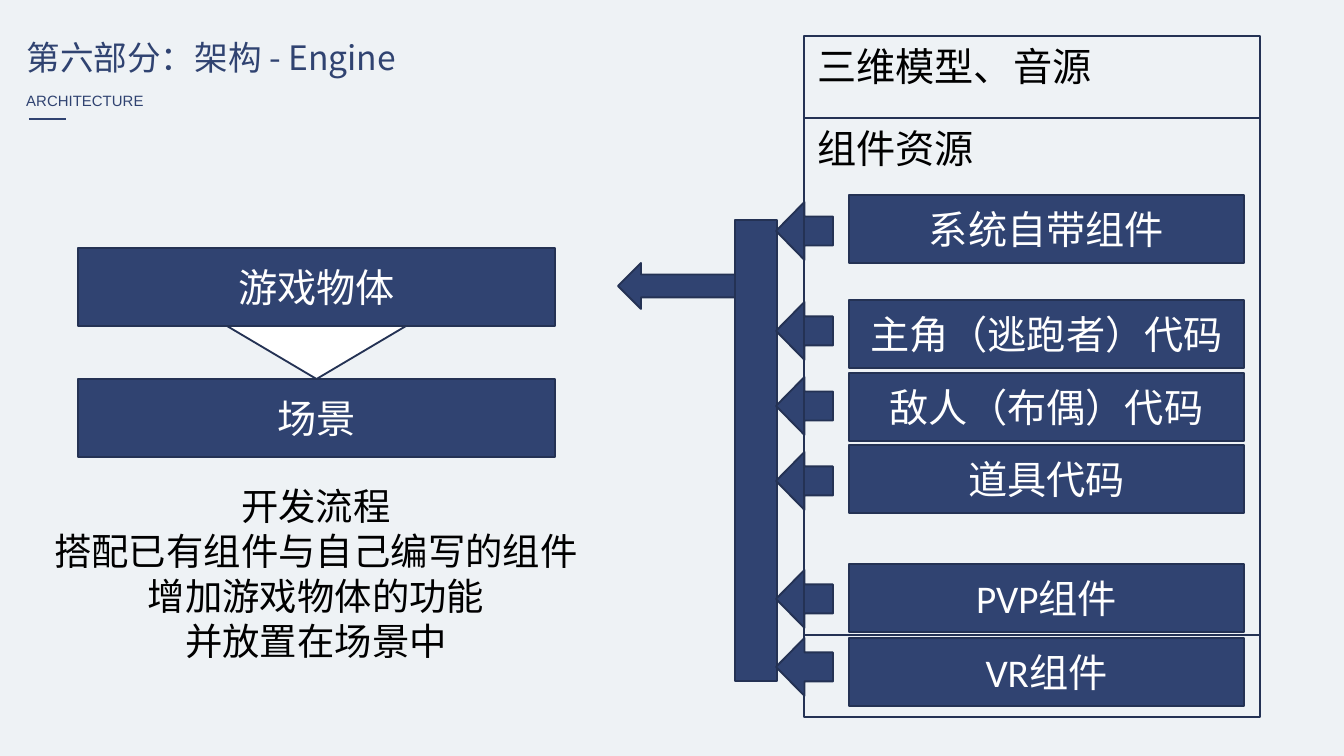
from pptx import Presentation
from pptx.dml.color import RGBColor
from pptx.enum.shapes import MSO_CONNECTOR, MSO_SHAPE
from pptx.enum.text import MSO_ANCHOR, MSO_AUTO_SIZE, PP_ALIGN
from pptx.oxml.ns import qn
from pptx.util import Pt
from lxml.etree import SubElement

PX = 914400 / 134.4
NAVY = RGBColor(0x30, 0x43, 0x71)
OUTLINE = RGBColor(0x24, 0x32, 0x54)
WHITE = RGBColor(0xFF, 0xFF, 0xFF)
BLACK = RGBColor(0, 0, 0)
BACKGROUND = RGBColor(0xEE, 0xF2, 0xF5)

TITLE = "第六部分：架构 - Engine"
SUBTITLE = "ARCHITECTURE"
STAGES = [("游戏物体", 248), ("场景", 379)]
COMPONENTS = [
    ("系统自带组件", 195, 202),
    ("主角（逃跑者）代码", 300, 302),
    ("敌人（布偶）代码", 373, 377),
    ("道具代码", 445, 452),
    ("PVP组件", 564, 570),
    ("VR组件", 638, 638),
]
PROCESS = ["开发流程", "搭配已有组件与自己编写的组件增加游戏物体的功能", "并放置在场景中"]


def px(*lengths):
    """Turn pixel lengths into EMU."""
    return [round(length * PX) for length in lengths]


def write(box, lines, size, color, font="Calibri", align=PP_ALIGN.LEFT,
          anchor=MSO_ANCHOR.TOP, wrap=True):
    """Fill a box with one formatted run per paragraph."""
    frame = box.text_frame
    frame.word_wrap = wrap
    frame.auto_size = MSO_AUTO_SIZE.NONE
    frame.vertical_anchor = anchor
    for index, line in enumerate(lines):
        para = frame.add_paragraph() if index else frame.paragraphs[0]
        para.alignment = align
        span = para.add_run()
        span.text = line
        span.font.size = Pt(size)
        span.font.name = font
        span.font.color.rgb = color


def add_block(page, kind, place, fill=NAVY, label=None):
    """Add an outlined shape, filled unless fill is None."""
    shape = page.shapes.add_shape(kind, *px(*place))
    shape.shadow.inherit = False
    if fill is None:
        shape.fill.background()
    else:
        shape.fill.solid()
        shape.fill.fore_color.rgb = fill
    shape.line.color.rgb = OUTLINE
    shape.line.width = Pt(1)
    if label and fill is None:
        write(shape, [label], 21, BLACK)
    elif label:
        write(shape, [label], 21, WHITE, align=PP_ALIGN.CENTER, anchor=MSO_ANCHOR.MIDDLE)
    return shape


def add_heading(page):
    """Add the title, its subtitle and the short rule below."""
    title = page.shapes.title
    title.left, title.top, title.width, title.height = px(13, 30, 500, 54)
    write(title, [TITLE], 18, NAVY, font="Noto Sans CJK SC")
    subtitle = page.shapes.add_textbox(*px(13, 85, 144, 31))
    write(subtitle, [SUBTITLE], 8, NAVY, font="Arial", wrap=False)
    rule = page.shapes.add_connector(MSO_CONNECTOR.STRAIGHT, *px(29, 119, 66, 119))
    rule.line.color.rgb = NAVY
    rule.line.width = Pt(1.5)
    SubElement(rule._element.spPr, qn("a:effectLst"))


def main():
    """Build the architecture slide."""
    deck = Presentation()
    deck.slide_width, deck.slide_height = px(1344, 756)
    page = deck.slides.add_slide(deck.slide_layouts[5])
    page.background.fill.solid()
    page.background.fill.fore_color.rgb = BACKGROUND
    add_heading(page)

    for label, top in STAGES:
        add_block(page, MSO_SHAPE.RECTANGLE, (78, top, 477, 78), label=label)
    add_block(page, MSO_SHAPE.ISOSCELES_TRIANGLE, (227, 326, 179, 53), WHITE).rotation = 180

    add_block(page, MSO_SHAPE.RECTANGLE, (804, 118, 456, 599), None, "组件资源")
    add_block(page, MSO_SHAPE.LEFT_ARROW, (618, 263, 117, 46))
    add_block(page, MSO_SHAPE.RECTANGLE, (735, 220, 42, 461))
    for label, top, arrow_top in COMPONENTS:
        add_block(page, MSO_SHAPE.RECTANGLE, (849, top, 395, 68), label=label)
        add_block(page, MSO_SHAPE.LEFT_ARROW, (776, arrow_top, 57, 58))
    add_block(page, MSO_SHAPE.RECTANGLE, (804, 36, 456, 599), None, "三维模型、音源")

    process = page.shapes.add_textbox(*px(33, 477, 566, 195))
    write(process, PROCESS, 20, BLACK, align=PP_ALIGN.CENTER)
    deck.save("out.pptx")


if __name__ == "__main__":
    main()
